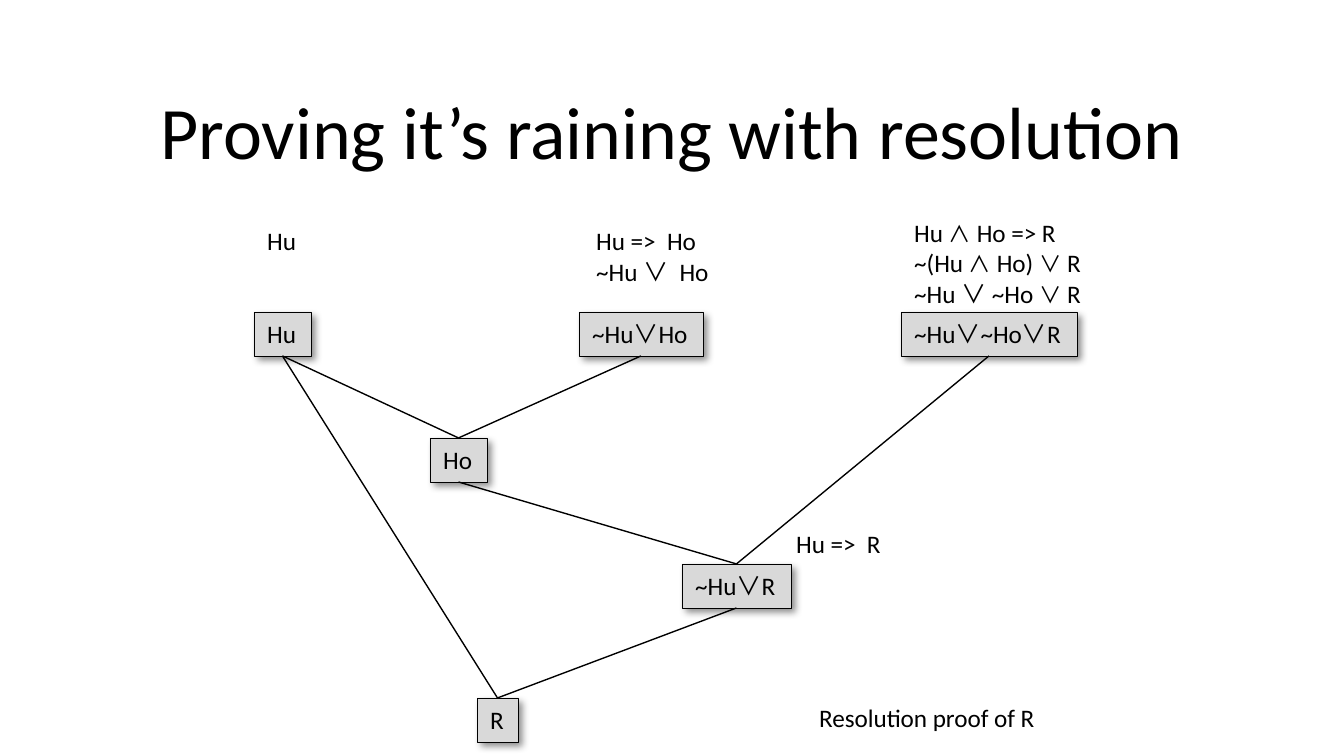
from dataclasses import dataclass
from lxml import etree
from pptx import Presentation
from pptx import util as u
from pptx.dml.color import RGBColor
from pptx.enum import shapes, text
from pptx.oxml import ns


@dataclass
class Theme:
    ink: RGBColor = RGBColor(0, 0, 0)
    fill: RGBColor = RGBColor(0xD9, 0xD9, 0xD9)
    head: float = 39.6
    body: float = 13.5
    small: float = 12
    font: str = "Calibri"
    sign: str = "Noto Sans CJK JP"


theme = Theme()
px = u.Inches(10) / 1344


def box(*dims):
    return [round(n * px) for n in dims]


def write(shape, words, size, align=text.PP_ALIGN.LEFT):
    frame = shape.text_frame
    for i, line in enumerate(words.split("\n")):
        para = frame.add_paragraph() if i else frame.paragraphs[0]
        para.alignment = align
        for part in line.split("|"):
            if part == "/":
                para.add_line_break()
                continue
            run = para.add_run()
            run.text = part.removeprefix("·")
            font = run.font
            font.size = u.Pt(theme.small if part.startswith("·") else size)
            font.color.rgb = theme.ink
            font.name = theme.font
            if run.text in ("∧", "∨"):
                font.name = theme.sign
                for tag in ("a:ea", "a:sym"):
                    etree.SubElement(run.font._element, ns.qn(tag), typeface=theme.sign)


deck = Presentation()
deck.slide_width, deck.slide_height = box(1344, 756)
slide = deck.slides.add_slide(deck.slide_layouts[5])

title = slide.shapes.title
title.left, title.top, title.width, title.height = box(67, 83, 1210, 94)
title.text_frame.vertical_anchor = text.MSO_ANCHOR.MIDDLE
write(title, "Proving it’s raining with resolution", theme.head, text.PP_ALIGN.CENTER)

nodes = {}
for key, words, x, y, w in [
    ("hu", "Hu", 254, 312, 57),
    ("rule", "~Hu|∨|Ho", 579, 312, 124),
    ("both", "~Hu|∨|~Ho|∨|R", 901, 312, 176),
    ("ho", "Ho", 430, 438, 57),
    ("step", "~Hu|∨|R", 682, 564, 109),
    ("rain", "R", 477, 698, 41),
]:
    node = slide.shapes.add_shape(shapes.MSO_SHAPE.RECTANGLE, *box(x, y, w, 44))
    node.fill.solid()
    node.fill.fore_color.rgb = theme.fill
    node.line.color.rgb = theme.ink
    node.line.width = u.Pt(0.25)
    node.shadow.inherit = False
    glow = node._element.spPr.find(ns.qn("a:effectLst"))
    cast = etree.SubElement(
        glow, ns.qn("a:outerShdw"), blurRad=str(u.Pt(4)), dist=str(u.Pt(3)),
        dir="2700000", algn="tl", rotWithShape="0")
    tint = etree.SubElement(cast, ns.qn("a:srgbClr"), val=str(theme.ink))
    etree.SubElement(tint, ns.qn("a:alpha"), val="43000")
    frame = node.text_frame
    frame.word_wrap = False
    frame.auto_size = text.MSO_AUTO_SIZE.SHAPE_TO_FIT_TEXT
    frame.vertical_anchor = text.MSO_ANCHOR.TOP
    write(node, words, theme.body)
    nodes[key] = node

for start, end in [
    ("hu", "ho"), ("rule", "ho"), ("both", "step"),
    ("ho", "step"), ("step", "rain"), ("hu", "rain"),
]:
    link = slide.shapes.add_connector(shapes.MSO_CONNECTOR.STRAIGHT, 0, 0, 0, 0)
    link.begin_connect(nodes[start], 2)
    link.end_connect(nodes[end], 0)
    link.line.color.rgb = theme.ink
    link.line.width = u.Pt(0.75)
    etree.SubElement(link._element.spPr, ns.qn("a:effectLst"))

for words, x, y, w, h, wrap in [
    ("Hu", 254, 219, 57, 44, False),
    ("Hu =>  Ho\n~Hu |∨|  Ho", 583, 219, 141, 75, False),
    ("Hu |·∧| Ho => R\n~(Hu |·∧| Ho) |·∨| R|/|~Hu |∨| ~Ho |·∨| R", 901, 211, 237, 105, True),
    ("Hu =>  R", 783, 522, 113, 44, False),
    ("Resolution proof of R", 806, 696, 251, 44, False),
]:
    note = slide.shapes.add_textbox(*box(x, y, w, h))
    note.text_frame.word_wrap = wrap
    note.text_frame.auto_size = text.MSO_AUTO_SIZE.SHAPE_TO_FIT_TEXT
    write(note, words, theme.body)

deck.save("out.pptx")
